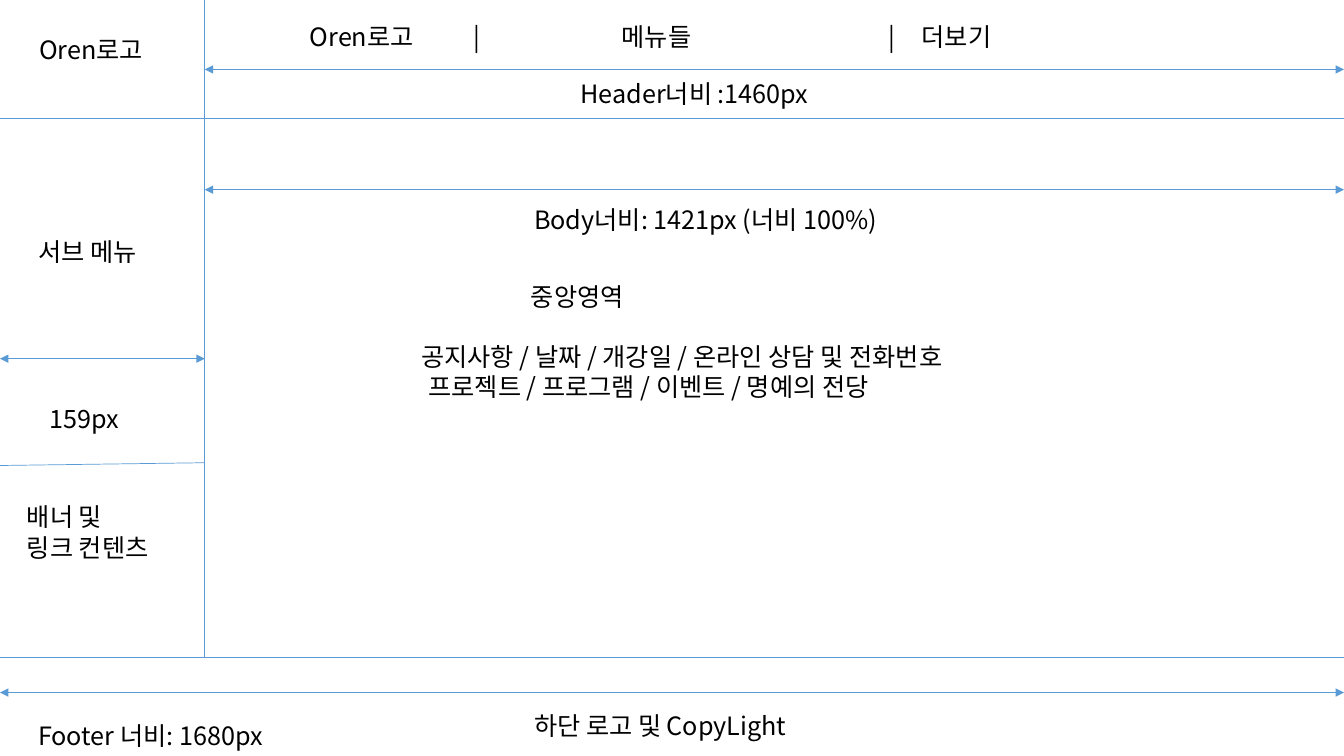
import pptx
import pptx.dml.color
import pptx.enum.shapes
import pptx.enum.text
import pptx.oxml
import pptx.oxml.ns
import pptx.util

Cm = pptx.util.Cm
Pt = pptx.util.Pt
FONT = "Noto Sans CJK KR"
BLUE = "5B9BD5"
BLACK = "000000"
WIDTH, HEIGHT = 33.87, 19.05
SIDEBAR, FOOTER = 5.16, 16.56
LINE_HEIGHT = 1.02


def color(value):
    return pptx.dml.color.RGBColor.from_string(value)


def apply_format(target, values):
    for name, value in values.items():
        setattr(target, name, value)


def add_element(parent, tag, **attributes):
    element = pptx.oxml.parse_xml(f"<{tag} {pptx.oxml.ns.nsdecls('a')}/>")
    for name, value in attributes.items():
        element.set(name, str(value))
    parent.append(element)
    return element


def add_line(slide, start, end, arrows=False):
    connector = slide.shapes.add_connector(
        pptx.enum.shapes.MSO_CONNECTOR.STRAIGHT, *map(Cm, start + end))
    connector.line.color.rgb = color(BLUE)
    connector.line.width = Pt(0.5)
    if arrows:
        line = connector.line._get_or_add_ln()
        for tag in ("a:headEnd", "a:tailEnd"):
            add_element(line, tag, type="triangle")
    add_element(connector._element.spPr, "a:effectLst")


def add_paragraph(paragraph, text, indent=0, space_before=0, tabs=()):
    paragraph.space_before = Pt(space_before)
    properties = paragraph._p.get_or_add_pPr()
    properties.set("marL", str(Cm(indent)))
    if tabs:
        tab_list = add_element(properties, "a:tabLst")
        for position in tabs:
            add_element(tab_list, "a:tab", pos=Cm(position), algn="l")
    run = paragraph.add_run()
    run.text = text
    apply_format(run.font, {"size": Pt(18), "name": FONT})
    run.font.color.rgb = color(BLACK)
    add_element(run._r.get_or_add_rPr(), "a:ea", typeface=FONT)


def add_text(slide, left, top, width, *paragraphs, height=LINE_HEIGHT):
    shape = slide.shapes.add_textbox(Cm(left), Cm(top), Cm(width), Cm(height))
    frame = shape.text_frame
    apply_format(frame, {
        "word_wrap": True,
        "auto_size": pptx.enum.text.MSO_AUTO_SIZE.SHAPE_TO_FIT_TEXT,
        "vertical_anchor": pptx.enum.text.MSO_ANCHOR.TOP,
    })
    for index, values in enumerate(paragraphs):
        paragraph = frame.add_paragraph() if index else frame.paragraphs[0]
        add_paragraph(paragraph, **values)


def main():
    presentation = pptx.Presentation()
    apply_format(presentation, {"slide_width": Cm(WIDTH), "slide_height": Cm(HEIGHT)})
    slide = presentation.slides.add_slide(presentation.slide_layouts[6])

    add_line(slide, (0, FOOTER), (WIDTH, FOOTER))
    add_line(slide, (SIDEBAR, 0), (SIDEBAR, FOOTER))
    add_line(slide, (0, 2.97), (WIDTH, 2.97))
    add_line(slide, (0, 11.73), (SIDEBAR, 11.66))
    for left, right, top in (
        (SIDEBAR, WIDTH, 1.75),
        (0, SIDEBAR, 9.04),
        (SIDEBAR, WIDTH, 4.78),
        (0, WIDTH, 17.45),
    ):
        add_line(slide, (left, top), (right, top), arrows=True)

    for left, top, width, text in (
        (0.74, 0.74, 3.6, "Oren로고"),
        (0.71, 5.82, 3.61, "서브 메뉴"),
        (14.38, 1.85, 8.61, "Header너비 :1460px"),
        (0.99, 10.03, 3.35, "159px"),
        (13.21, 5.03, 11.48, "Body너비: 1421px (너비 100%)"),
        (0.71, 18.03, 7.62, "Footer 너비: 1680px"),
        (13.21, 17.78, 16.15, "하단 로고 및 CopyLight"),
    ):
        add_text(slide, left, top, width, {"text": text})

    add_text(slide, 7.56, 0.41, 22.6, {
        "text": "Oren로고\t|\t메뉴들\t|\t더보기",
        "tabs": (4.12, 7.86, 14.59, 15.42),
    })
    add_text(slide, 0.43, 12.52, 5.44, {"text": "배너 및"}, {"text": "링크 컨텐츠"},
             height=1.8)
    add_text(
        slide, 7.77, 6.96, 19.66,
        {"text": "중앙영역", "indent": 5.36},
        {"text": "공지사항 / 날짜 / 개강일 / 온라인 상담 및 전화번호",
         "indent": 2.6, "space_before": 21.5},
        {"text": "프로젝트 / 프로그램 / 이벤트 / 명예의 전당", "indent": 2.78},
        height=4.11)

    presentation.save("out.pptx")


if __name__ == "__main__":
    main()
